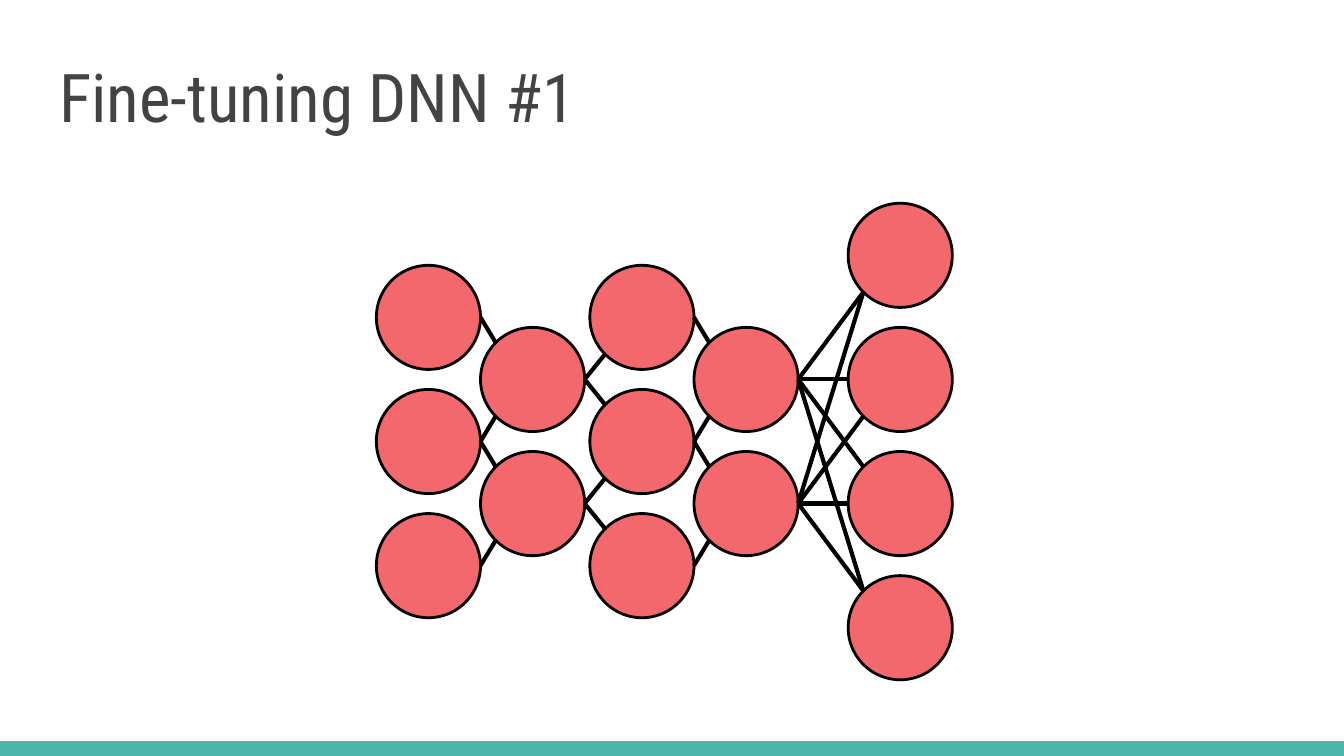
from itertools import pairwise, product

from lxml.etree import SubElement
from pptx import Presentation
from pptx.dml.color import RGBColor
from pptx.enum.shapes import MSO_CONNECTOR as Connector, MSO_SHAPE as Shape
from pptx.enum.text import MSO_ANCHOR as Anchor, PP_ALIGN as Align
from pptx.oxml.ns import qn
from pptx.util import Inches, Pt

WIDTH = Inches(10)
HEIGHT = WIDTH * 9 // 16
TEAL = RGBColor(0x4D, 0xB6, 0xAC)
CORAL = RGBColor(0xF2, 0x68, 0x6D)
GRAY = RGBColor(0x43, 0x43, 0x43)
BLACK = RGBColor(0, 0, 0)

NODE = Pt(55.8)
PITCH = Pt(66.5)
CORNER = NODE * (1 - 0.5 ** 0.5) / 2  # inset of the 45 degree point on a node
# Left edge of each layer in node widths, and its node count
LAYERS = [(0, 3), (1, 2), (2.05, 3), (3.05, 2), (4.53, 4)]


def add_title(page, text, left, top, width, height):
    title = page.shapes.title
    title.left, title.top, title.width, title.height = left, top, width, height
    frame = title.text_frame
    frame.text = text
    frame.word_wrap = True
    frame.vertical_anchor = Anchor.TOP
    frame.margin_left = frame.margin_right = Inches(0.1)
    frame.margin_top = frame.margin_bottom = Inches(0.1)
    para = frame.paragraphs[0]
    para.alignment = Align.LEFT
    para.font.name = "Roboto Condensed"
    para.font.size = Pt(36)
    para.font.color.rgb = GRAY


def add_footer_bar(page, left, top, width, height):
    bar = page.shapes.add_shape(Shape.RECTANGLE, left, top, width, height)
    bar.shadow.inherit = False
    bar.fill.solid()
    bar.fill.fore_color.rgb = TEAL
    bar.line.fill.background()


def add_node(page, left, top):
    node = page.shapes.add_shape(Shape.OVAL, left, top, NODE, NODE)
    node.shadow.inherit = False
    node.fill.solid()
    node.fill.fore_color.rgb = CORAL
    node.line.color.rgb = BLACK
    node.line.width = Pt(1.5)
    return node


def add_edge(page, source, target):
    """Join the right of source to the side of target that faces it."""
    start_x, start_y = source.left + NODE, source.top + NODE // 2
    rise = target.top - source.top
    if rise == 0:
        end_x, end_y = target.left, start_y
    else:
        end_x = int(target.left + CORNER)
        end_y = int(target.top + (CORNER if rise > 0 else NODE - CORNER))
    edge = page.shapes.add_connector(Connector.STRAIGHT, start_x, start_y, end_x, end_y)
    edge.line.color.rgb = BLACK
    edge.line.width = Pt(2.25)
    SubElement(edge._element.spPr, qn("a:effectLst"))


def add_network(page, left, top, height):
    """Centre each layer in the height; only the last pair is fully connected."""
    layers = []
    for column, count in LAYERS:
        first = top + (height - NODE - (count - 1) * PITCH) / 2
        layers.append([add_node(page, int(left + column * NODE), int(first + row * PITCH))
                       for row in range(count)])
    for sources, targets in pairwise(layers):
        for source, target in product(sources, targets):
            if targets is layers[-1] or abs(target.top - source.top) < PITCH:
                add_edge(page, source, target)


def main():
    deck = Presentation()
    deck.slide_width, deck.slide_height = WIDTH, HEIGHT
    page = deck.slides.add_slide(deck.slide_layouts[5])
    bar_height = Inches(0.11)
    add_footer_bar(page, 0, HEIGHT - bar_height, WIDTH, bar_height)
    margin = Inches(0.34)
    add_title(page, "Fine-tuning DNN #1", margin, Inches(0.31), WIDTH - 2 * margin, Inches(0.77))
    add_network(page, Inches(2.8), Inches(1.51), Inches(3.55))
    deck.save("out.pptx")


if __name__ == "__main__":
    main()
